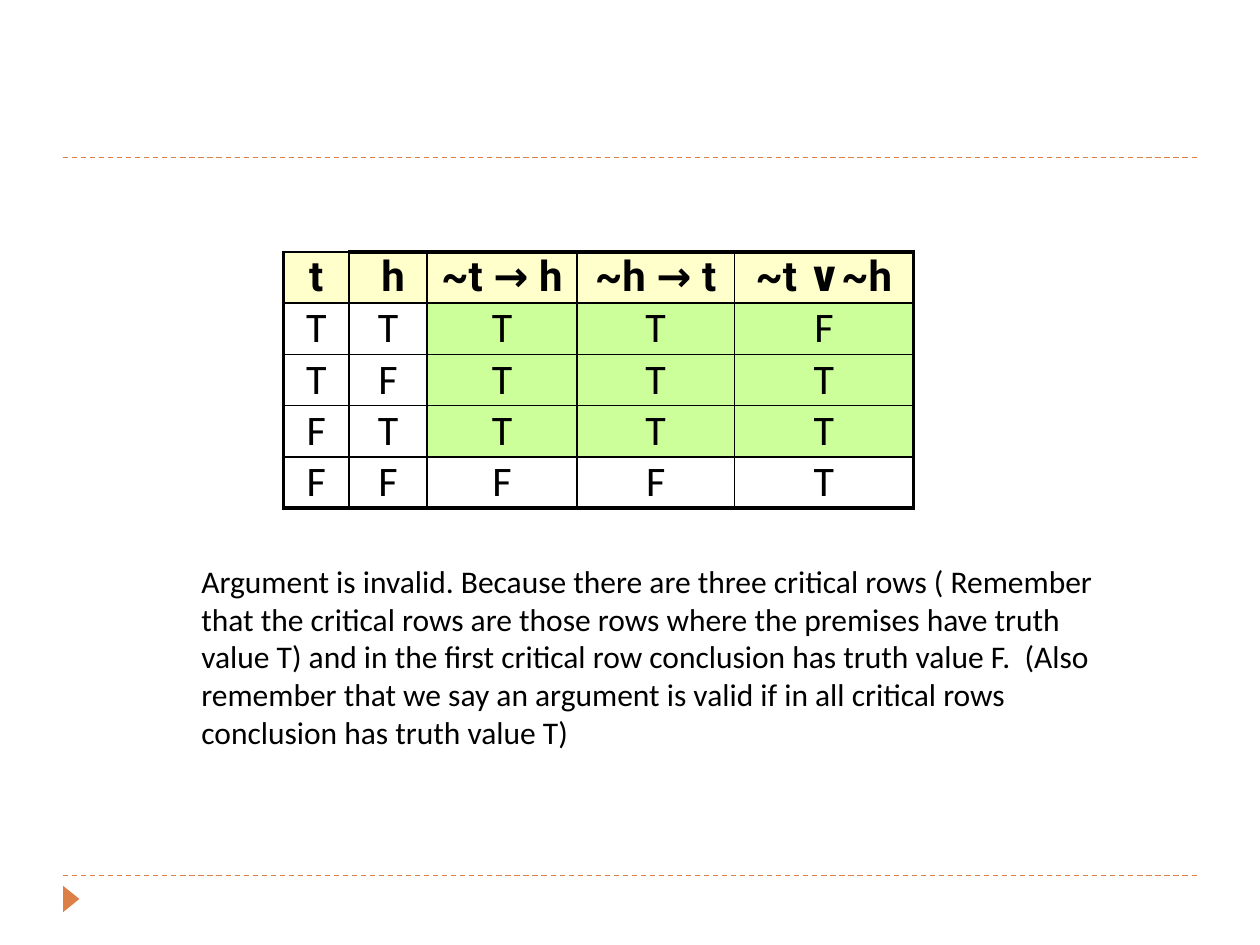
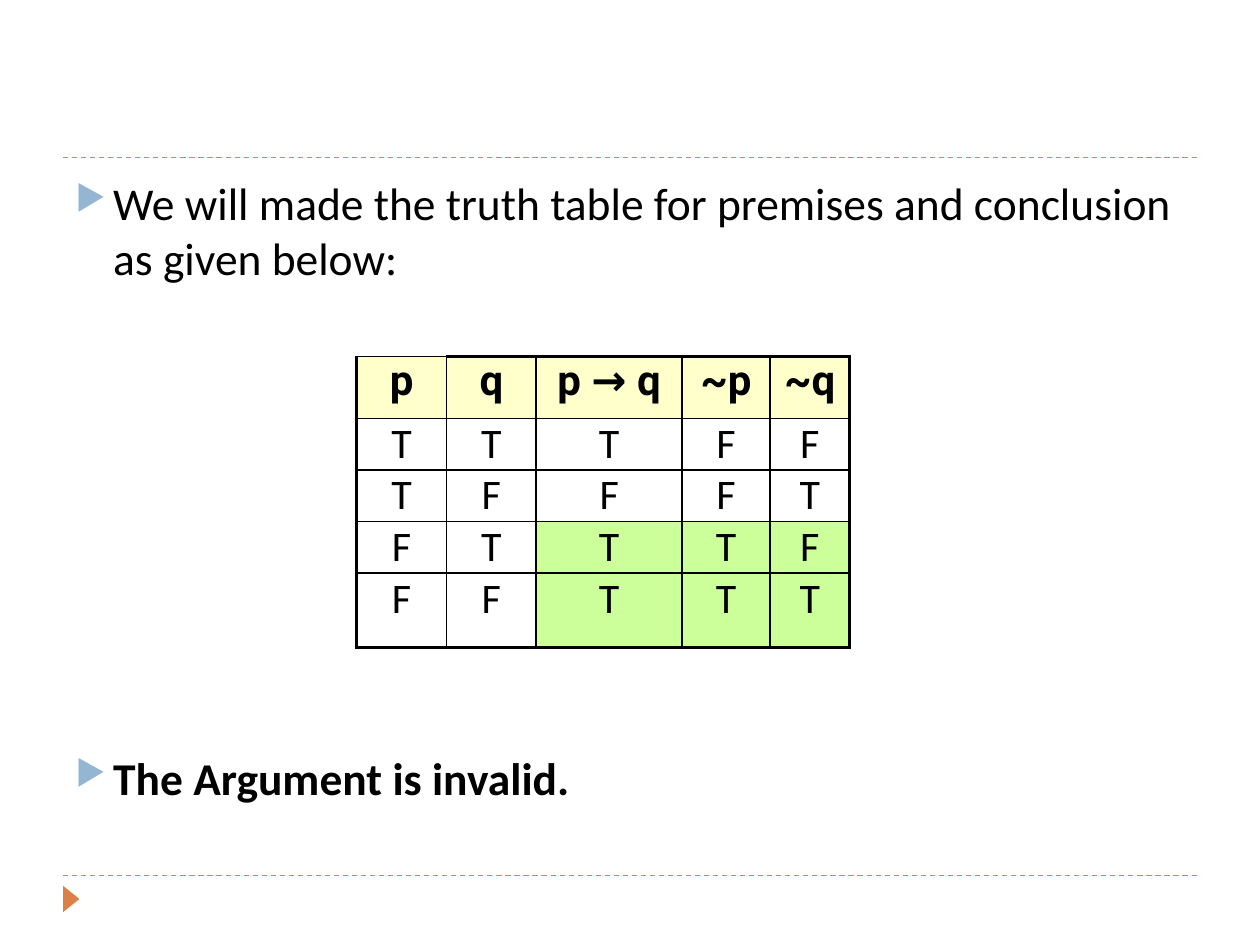
from lxml.etree import SubElement
from pptx import Presentation
from pptx.dml.color import RGBColor
from pptx.enum.dml import MSO_LINE
from pptx.enum.shapes import MSO_CONNECTOR, MSO_SHAPE
from pptx.enum.text import PP_ALIGN
from pptx.oxml.ns import qn
from pptx.util import Inches, Pt

COLUMNS, ROWS = 20, 15
UNIT = Inches(0.5)
BLACK, ORANGE, BLUE = "000000", "DD8047", "94B6D2"
HEADER_FILL, CRITICAL_FILL = "FFFFCC", "CCFF99"
BODY_FONT, HEADER_FONT = "Calibri", "Roboto"
THIN, THICK = Pt(1), Pt(2.25)


def grid(count):
    return int(UNIT * count)


def color(value):
    return RGBColor.from_string(value)


def add_run(paragraph, text, size, font=BODY_FONT, bold=False):
    run = paragraph.add_run()
    run.text = text
    run.font.name = font
    run.font.size = Pt(size)
    run.font.bold = bold
    run.font.color.rgb = color(BLACK)


def add_text_frame(slide, left, top, width, height):
    box = slide.shapes.add_textbox(grid(left), grid(top), grid(width), grid(height))
    box.text_frame.word_wrap = True
    return box.text_frame


def add_dashed_rule(slide, row):
    rule = slide.shapes.add_connector(
        MSO_CONNECTOR.STRAIGHT, grid(1), grid(row), grid(COLUMNS - 1), grid(row)
    )
    rule.line.color.rgb = color(ORANGE)
    rule.line.width = Pt(0.75)
    rule.line.dash_style = MSO_LINE.DASH
    SubElement(rule.element.spPr, qn("a:effectLst"))


def add_corner_marker(slide):
    marker = slide.shapes.add_shape(
        MSO_SHAPE.ISOSCELES_TRIANGLE, grid(0.92), grid(14.14), grid(0.42), grid(0.26)
    )
    marker.rotation = 90
    marker.shadow.inherit = False
    marker.fill.solid()
    marker.fill.fore_color.rgb = color(ORANGE)
    marker.line.fill.background()


def add_framed_slide(presentation):
    slide = presentation.slides.add_slide(presentation.slide_layouts[6])
    add_dashed_rule(slide, 13.9)
    add_dashed_rule(slide, 2.5)
    add_corner_marker(slide)
    return slide


def set_border(cell, side, width):
    line = SubElement(cell._tc.get_or_add_tcPr(), qn(f"a:ln{side}"), w=str(width))
    fill = SubElement(line, qn("a:solidFill"))
    SubElement(fill, qn("a:srgbClr"), val=BLACK)


def set_fill(cell, value):
    if value:
        cell.fill.solid()
        cell.fill.fore_color.rgb = color(value)
    else:
        cell.fill.background()


def format_cell(cell, text, row, column, last_row, last_column, critical_rows):
    header = row == 0
    cell.margin_left = cell.margin_right = cell.margin_top = cell.margin_bottom = 0
    thick_sides = {
        "L": column == 0,
        "R": column == last_column,
        "T": header and column > 0,
        "B": row == last_row,
    }
    for side, thick in thick_sides.items():
        set_border(cell, side, THICK if thick else THIN)
    if header:
        set_fill(cell, HEADER_FILL)
    else:
        set_fill(cell, CRITICAL_FILL if row in critical_rows and column > 1 else None)
    paragraph = cell.text_frame.paragraphs[0]
    paragraph.alignment = PP_ALIGN.CENTER
    add_run(paragraph, text, 24, HEADER_FONT if header else BODY_FONT, header)


def add_truth_table(slide, left, top, widths, heights, headings, values, critical_rows):
    contents = [headings, *values]
    table = slide.shapes.add_table(
        len(heights), len(widths), grid(left), grid(top),
        grid(sum(widths)), grid(sum(heights)),
    ).table
    table.first_row = table.horz_banding = False
    for column, width in zip(table.columns, widths):
        column.width = grid(width)
    for row, height in zip(table.rows, heights):
        row.height = grid(height)
    for row, texts in enumerate(contents):
        for column, text in enumerate(texts):
            format_cell(table.cell(row, column), text, row, column,
                        len(heights) - 1, len(widths) - 1, critical_rows)


def add_bullet(paragraph, text, space_before=0, bold=False):
    paragraph.space_before = Pt(space_before)
    properties = paragraph._p.get_or_add_pPr()
    properties.set("marL", str(Inches(0.3)))
    properties.set("indent", str(-Inches(0.3)))
    bullet_color = SubElement(properties, qn("a:buClr"))
    SubElement(bullet_color, qn("a:srgbClr"), val=BLUE)
    SubElement(properties, qn("a:buSzPct"), val="76000")
    SubElement(properties, qn("a:buChar"), char="▶")
    add_run(paragraph, text, 26, bold=bold)


def add_critical_rows_slide(presentation):
    slide = add_framed_slide(presentation)
    add_truth_table(
        slide, 4.5, 4, [1.04, 1.24, 2.38, 2.5, 2.84], [0.81] * 5,
        ["t", " h", "~t → h", "~h → t", "~t ∨~h"],
        ["TTTTF", "TFTTT", "FTTTT", "FFFFT"], critical_rows=(1, 2, 3),
    )
    frame = add_text_frame(slide, 3, 8.82, 14.84, 3.26)
    add_run(
        frame.paragraphs[0],
        "Argument is invalid. Because there are three critical rows ( Remember "
        "that the critical rows are those rows where the premises have truth "
        "value T) and in the first critical row conclusion has truth value F.  "
        "(Also remember that we say an argument is valid if in all critical rows "
        "conclusion has truth value T)",
        18,
    )


def add_invalid_argument_slide(presentation):
    slide = add_framed_slide(presentation)
    frame = add_text_frame(slide, 1, 2.68, 18, 10.8)
    add_bullet(
        frame.paragraphs[0],
        "We will made the truth table for premises and conclusion as given below:",
    )
    add_bullet(frame.add_paragraph(), "The Argument is invalid.", 266, bold=True)
    add_truth_table(
        slide, 5.66, 5.66, [1.43, 1.42, 2.32, 1.39, 1.27],
        [0.98, 0.82, 0.82, 0.82, 1.18],
        ["p", "q", "p → q", "~p", "~q"],
        ["TTTFF", "TFFFT", "FTTTF", "FFTTT"], critical_rows=(3, 4),
    )


def main():
    presentation = Presentation()
    presentation.slide_width = grid(COLUMNS)
    presentation.slide_height = grid(ROWS)
    add_critical_rows_slide(presentation)
    add_invalid_argument_slide(presentation)
    presentation.save("out.pptx")


if __name__ == "__main__":
    main()
